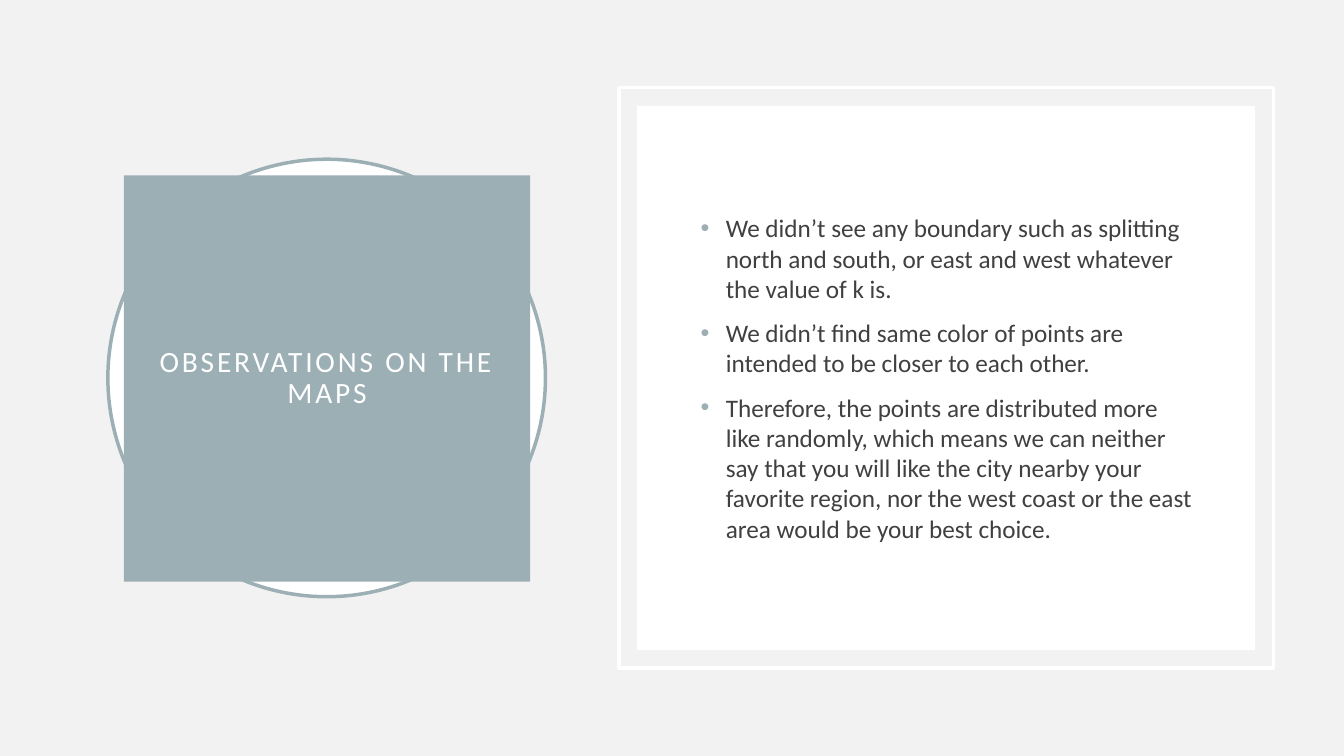
import pptx
import pptx.util
import pptx.dml.color
import pptx.enum.shapes
import pptx.enum.text
import pptx.oxml
import pptx.oxml.ns

Inches = pptx.util.Inches
Pt = pptx.util.Pt
RGBColor = pptx.dml.color.RGBColor
MSO_SHAPE = pptx.enum.shapes.MSO_SHAPE
MIDDLE = pptx.enum.text.MSO_ANCHOR.MIDDLE

PAPER = RGBColor(0xF2, 0xF2, 0xF2)
WHITE = RGBColor(0xFF, 0xFF, 0xFF)
SAGE = RGBColor(0x9B, 0xAF, 0xB5)
INK = RGBColor(0x40, 0x40, 0x40)
FONT = "Calibri"

OBSERVATIONS = [
    "We didn’t see any boundary such as splitting north and south, or east and west "
    "whatever the value of k is.",
    "We didn’t find same color of points are intended to be closer to each other.",
    "Therefore, the points are distributed more like randomly, which means we can "
    "neither say that you will like the city nearby your favorite region, nor the "
    "west coast or the east area would be your best choice.",
]


def add_panel(kind, left, top, width, height, fill=None, line=None):
    panel = slide.shapes.add_shape(
        kind, Inches(left), Inches(top), Inches(width), Inches(height))
    panel.shadow.inherit = False
    if fill is None:
        panel.fill.background()
    else:
        panel.fill.solid()
        panel.fill.fore_color.rgb = fill
    if line is None:
        panel.line.fill.background()
    else:
        panel.line.color.rgb = line
        panel.line.width = Pt(2.5)
    return panel


def add_run(paragraph, text, size, color):
    run = paragraph.add_run()
    run.text = text
    run.font.name = FONT
    run.font.size = Pt(size)
    run.font.color.rgb = color
    return run


deck = pptx.Presentation()
deck.slide_width = Inches(13.33)
deck.slide_height = Inches(7.5)
slide = deck.slides.add_slide(deck.slide_layouts[6])
slide.background.fill.solid()
slide.background.fill.fore_color.rgb = PAPER

# Title square over a ring
add_panel(MSO_SHAPE.OVAL, 1.07, 1.58, 4.34, 4.34, fill=WHITE, line=SAGE)
title = add_panel(MSO_SHAPE.RECTANGLE, 1.23, 1.74, 4.03, 4.03, fill=SAGE)
title_frame = title.text_frame
title_frame.word_wrap = True
title_frame.vertical_anchor = MIDDLE
title_frame.margin_left = title_frame.margin_right = Inches(0.2)
title_frame.margin_top = title_frame.margin_bottom = Inches(0.2)
heading = title_frame.paragraphs[0]
heading.alignment = pptx.enum.text.PP_ALIGN.CENTER
heading.line_spacing = 0.9
heading_run = add_run(heading, "OBSERVATIONS ON THE MAPS", 21, WHITE)
heading_run.font._element.set("spc", "200")

# Framed card with the observations
add_panel(MSO_SHAPE.RECTANGLE, 6.14, 0.87, 6.49, 5.76, line=WHITE)
add_panel(MSO_SHAPE.RECTANGLE, 6.32, 1.05, 6.13, 5.4, fill=WHITE)
body = slide.shapes.add_textbox(Inches(6.85), Inches(1.58), Inches(5.09), Inches(4.34))
body_frame = body.text_frame
body_frame.word_wrap = True
body_frame.vertical_anchor = MIDDLE

for index, observation in enumerate(OBSERVATIONS):
    item = body_frame.add_paragraph() if index else body_frame.paragraphs[0]
    item.space_before = Pt(10 if index else 0)
    properties = item._p.get_or_add_pPr()
    properties.set("marL", str(Inches(0.25)))
    properties.set("indent", str(-Inches(0.25)))
    namespace = pptx.oxml.ns.nsdecls("a")
    for bullet_xml in (
        f'<a:buClr {namespace}><a:srgbClr val="{SAGE}"/></a:buClr>',
        f'<a:buFont {namespace} typeface="Arial"/>',
        f'<a:buChar {namespace} char="•"/>',
    ):
        properties.append(pptx.oxml.parse_xml(bullet_xml))
    add_run(item, observation, 18, INK)

deck.save("out.pptx")
